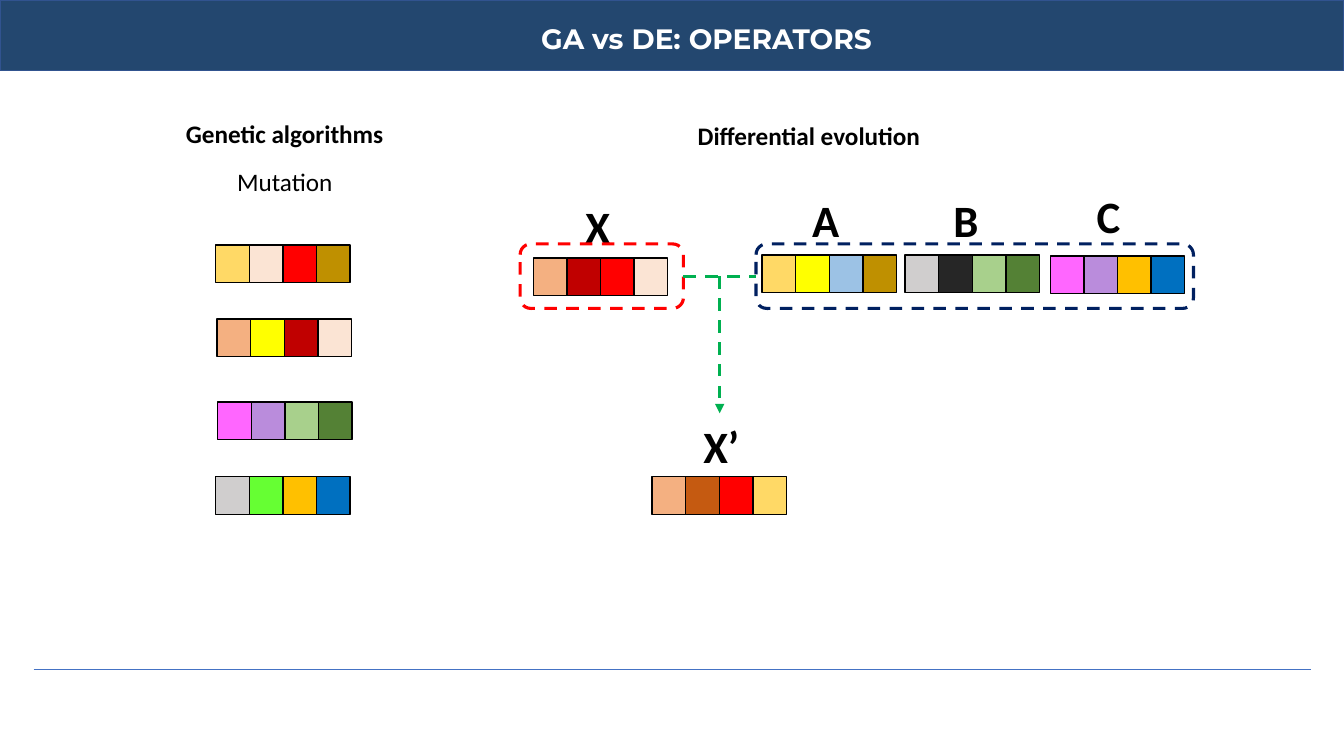
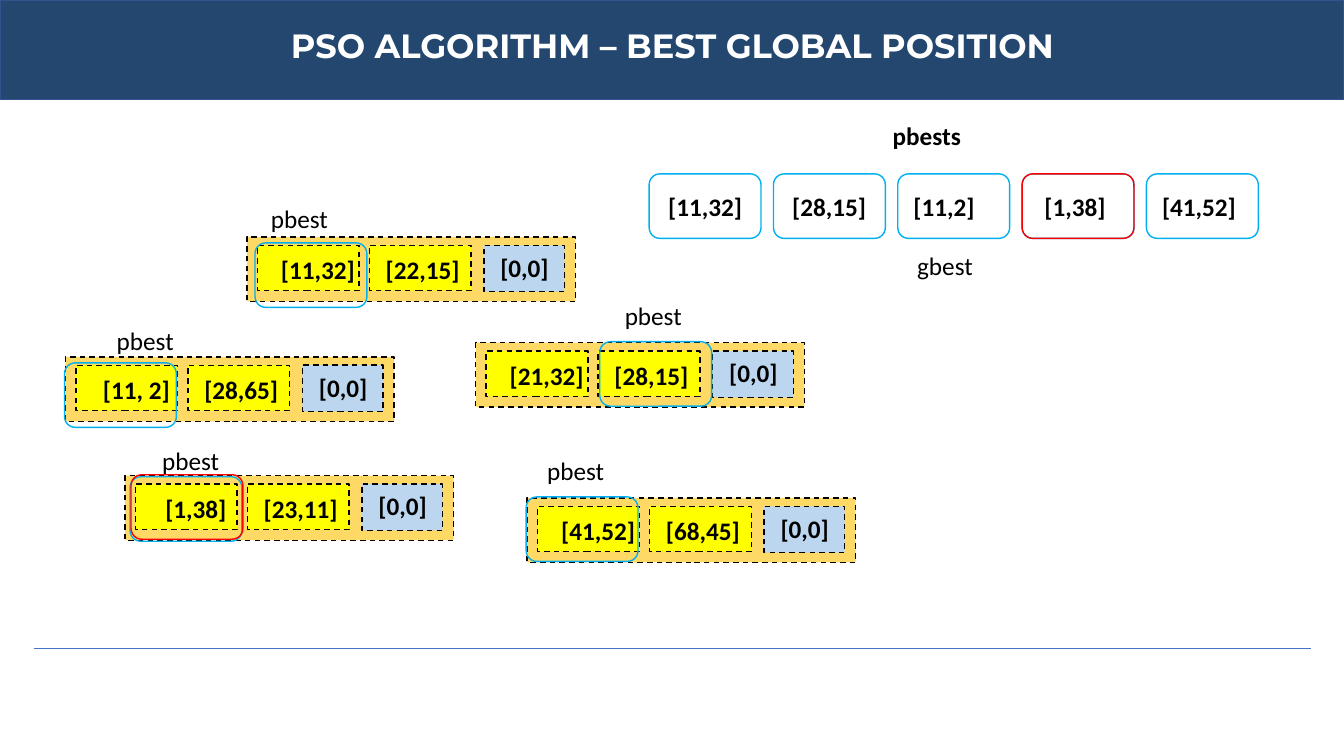
from dataclasses import dataclass

from lxml import etree
from pptx import Presentation
from pptx.dml.color import RGBColor
from pptx.enum.dml import MSO_LINE
from pptx.enum.shapes import MSO_CONNECTOR, MSO_SHAPE
from pptx.enum.text import PP_ALIGN
from pptx.oxml.ns import qn
from pptx.util import Inches, Pt

RECT, ROUNDED = MSO_SHAPE.RECTANGLE, MSO_SHAPE.ROUNDED_RECTANGLE
STRAIGHT = MSO_CONNECTOR.STRAIGHT
DASH = MSO_LINE.DASH
LEFT, CENTER = PP_ALIGN.LEFT, PP_ALIGN.CENTER
COLUMNS, ROWS = 80, 45
SLIDE_WIDTH, SLIDE_HEIGHT = Inches(13.333), Inches(7.5)


@dataclass(frozen=True)
class Theme:
    band: str = "23476F"
    band_edge: str = "31538F"
    rule: str = "4472C4"
    ink: str = "000000"
    white: str = "FFFFFF"
    target: str = "FF0000"
    donors: str = "002060"
    flow: str = "00B050"
    pbest: str = "00B0F0"
    particle: str = "FFD966"
    value: str = "FFFF00"
    velocity: str = "BBD6EE"
    title_font: str = "Montserrat"
    body_font: str = "Calibri"
    body_size: float = 18
    letter_size: float = 32
    thin: float = 0.75
    edge: float = 1
    thick: float = 2.25


THEME = Theme()

GENE_WIDTH, GENE_HEIGHT = 2, 2.24
LABEL_HEIGHT, FRAME_HEIGHT = 2.4, 3.84

OPERATORS = {
    "title": ("GA vs DE: OPERATORS", 20, (13.2, 0.96, 57.72, 2.64)),
    "band": 4.2,
    "rule": 39.84,
    "headings": [
        ("Genetic algorithms", 8.88, 6.72, 16.14, True),
        ("Differential evolution", 40.08, 6.84, 16.14, True),
        ("Mutation", 11.64, 9.6, 10.62, False),
    ],
    "chromosomes": [
        (12.84, 14.58, "FFD966 FBE4D4 FF0000 BF9000"),
        (12.92, 18.98, "F4B081 FFFF00 C00000 FBE4D4"),
        (12.96, 23.94, "FF66FF BA8CDC A8D08C 548135"),
        (12.84, 28.38, "D0CECE 66FF33 FFC000 0070C0"),
        (31.74, 15.36, "F4B081 C00000 FF0000 FBE4D4"),
        (45.36, 15.18, "FFD966 FFFF00 9CC2E5 BF9000"),
        (53.88, 15.18, "D0CECE 262626 A8D08C 548135"),
        (62.52, 15.24, "FF66FF BA8CDC FFC000 0070C0"),
        (38.82, 28.38, "F4B081 C55A11 FF0000 FFD966"),
    ],
    "letters": [
        ("X", 34.26, 11.52, 2.16),
        ("A", 47.76, 11.16, 2.16),
        ("B", 56.16, 11.16, 2.16),
        ("C", 64.68, 10.92, 2.16),
        ("X’", 41.28, 24.6, 3.48),
    ],
    "target": (30.96, 14.52, 9.72, FRAME_HEIGHT),
    "donors": (45, 14.52, 26.04, FRAME_HEIGHT),
    "trial_top": 24.6,
}

GLOBAL_BEST = {
    "title": ("PSO ALGORITHM – BEST GLOBAL POSITION", 24, (15.18, 1.2, 49.68, 3)),
    "band": 5.94,
    "rule": 38.58,
    "headings": [
        ("pbests", 50.64, 6.84, 9.06, True),
        ("gbest", 51.72, 14.58, 9.06, False),
    ],
    "pbests": [
        ("[11,32]", 39.12),
        ("[28,15]", 46.5),
        ("[11,2]", 53.34),
        ("[1,38]", 61.14),
        ("[41,52]", 68.52),
    ],
    "gbest": "[1,38]",
    "particles": [
        {"at": (14.7, 14.1), "values": ("[11,32]", "[22,15]", "[0,0]"),
         "label": (15.54, 11.82), "best": (15.18, 14.46)},
        {"at": (28.32, 20.4), "values": ("[21,32]", "[28,15]", "[0,0]"),
         "label": (36.6, 17.58), "best": (35.7, 20.34)},
        {"at": (3.9, 21.24), "values": ("[11, 2]", "[28,65]", "[0,0]"),
         "label": (6.36, 19.08), "best": (3.84, 21.6)},
        {"at": (31.38, 29.64), "values": ("[41,52]", "[68,45]", "[0,0]"),
         "label": (31.98, 26.82), "best": (31.32, 29.58)},
        {"at": (7.44, 28.32), "values": ("[1,38]", "[23,11]", "[0,0]"),
         "label": (9.06, 26.22), "best": (7.74, 28.38)},
    ],
    "gbest_mark": (7.8, 28.26),
}

PARTICLE_WIDTH = 19.56
PARTICLE_CELLS = [
    (0.62, 6.06, 2.7, THEME.value, 1.28, 0.73, 5.88),
    (7.28, 6.06, 2.7, THEME.value, 7.28, 0.73, 6.36),
    (14.1, 4.8, 2.76, THEME.velocity, 14.15, 0.6, 4.74),
]
PBEST_LEFT, PBEST_TOP, PBEST_STEP, PBEST_WIDTH = 38.64, 10.35, 7.4, 6.66


def grid_x(columns):
    return round(SLIDE_WIDTH * columns / COLUMNS)


def grid_y(rows):
    return round(SLIDE_HEIGHT * rows / ROWS)


def grid_box(x, y, width, height):
    return grid_x(x), grid_y(y), grid_x(width), grid_y(height)


def style_line(line, color, weight, dash=None):
    line.color.rgb = RGBColor.from_string(color)
    line.width = Pt(weight)
    if dash:
        line.dash_style = dash


def add_box(shapes, box, fill=None, edge=THEME.ink, weight=THEME.edge, dash=None, kind=RECT):
    shape = shapes.add_shape(kind, *grid_box(*box))
    shape.shadow.inherit = False
    if fill:
        shape.fill.solid()
        shape.fill.fore_color.rgb = RGBColor.from_string(fill)
    else:
        shape.fill.background()
    style_line(shape.line, edge, weight, dash)
    return shape


def add_label(shapes, text, box, size=THEME.body_size, bold=True, align=CENTER,
              color=THEME.ink, font=THEME.body_font):
    frame = shapes.add_textbox(*grid_box(*box)).text_frame
    frame.word_wrap = True
    paragraph = frame.paragraphs[0]
    paragraph.alignment = align
    run = paragraph.add_run()
    run.text = text
    run.font.name = font
    run.font.size = Pt(size)
    run.font.bold = bold
    run.font.color.rgb = RGBColor.from_string(color)


def add_line(shapes, start, end, color, weight, dash=None, arrow=False):
    line = shapes.add_connector(STRAIGHT, grid_x(start[0]), grid_y(start[1]),
                                grid_x(end[0]), grid_y(end[1]))
    style_line(line.line, color, weight, dash)
    if arrow:
        etree.SubElement(line.line._get_or_add_ln(), qn("a:tailEnd"), type="triangle")
    etree.SubElement(line._element.spPr, qn("a:effectLst"))
    return line


def start_slide(deck, content):
    shapes = deck.slides.add_slide(deck.slide_layouts[6]).shapes
    add_box(shapes, (0, 0, COLUMNS, content["band"]), THEME.band, THEME.band_edge)
    title, size, box = content["title"]
    add_label(shapes, title, box, size, color=THEME.white, font=THEME.title_font)
    rule = content["rule"]
    add_line(shapes, (2, rule), (78.06, rule), THEME.rule, THEME.thin)
    for text, x, y, width, bold in content["headings"]:
        add_label(shapes, text, (x, y, width, LABEL_HEIGHT), bold=bold)
    return shapes


def build_operators(deck):
    content = OPERATORS
    shapes = start_slide(deck, content)
    for x, y, genes in content["chromosomes"]:
        chromosome = shapes.add_group_shape().shapes
        for position, color in enumerate(genes.split()):
            add_box(chromosome, (x + position * GENE_WIDTH, y, GENE_WIDTH, GENE_HEIGHT), color)
    for letter, x, y, width in content["letters"]:
        add_label(shapes, letter, (x, y, width, FRAME_HEIGHT), THEME.letter_size, align=LEFT)

    target, donors = (
        add_box(shapes, content[role], edge=color, weight=THEME.thick, dash=DASH, kind=ROUNDED)
        for role, color in (("target", THEME.target), ("donors", THEME.donors))
    )
    left, top, width, height = content["target"]
    target_right, middle = left + width, top + height / 2
    donors_left = content["donors"][0]
    center = (target_right + donors_left) / 2
    bridge = add_line(shapes, (target_right, middle), (donors_left, middle),
                      THEME.flow, THEME.thick, DASH)
    bridge.begin_connect(target, 3)
    bridge.end_connect(donors, 1)
    add_line(shapes, (center, middle), (center, content["trial_top"]),
             THEME.flow, THEME.thick, DASH, arrow=True)


def add_best_frame(shapes, x, y, color=THEME.pbest):
    add_box(shapes, (x, y, PBEST_WIDTH, FRAME_HEIGHT), edge=color, kind=ROUNDED)


def add_particle(shapes, particle):
    x, y = particle["at"]
    group = shapes.add_group_shape().shapes
    add_box(group, (x, y, PARTICLE_WIDTH, FRAME_HEIGHT), THEME.particle, dash=DASH)
    for value, cell in zip(particle["values"], PARTICLE_CELLS):
        offset, width, height, color, text_x, text_y, text_width = cell
        add_box(group, (x + offset, y + 0.5, width, height), color, dash=DASH)
        add_label(group, value, (x + text_x, y + text_y, text_width, LABEL_HEIGHT))
    add_label(shapes, "pbest", (*particle["label"], 4.8, LABEL_HEIGHT), bold=False, align=LEFT)
    add_best_frame(shapes, *particle["best"])


def build_global_best(deck):
    content = GLOBAL_BEST
    shapes = start_slide(deck, content)
    for position, (value, text_x) in enumerate(content["pbests"]):
        x = PBEST_LEFT + position * PBEST_STEP
        add_best_frame(shapes, x, PBEST_TOP)
        if value == content["gbest"]:
            add_best_frame(shapes, x, PBEST_TOP, THEME.target)
        add_label(shapes, value, (text_x, 11.1, 5.7, LABEL_HEIGHT))
    for particle in content["particles"]:
        add_particle(shapes, particle)
    add_best_frame(shapes, *content["gbest_mark"], THEME.target)


def main():
    deck = Presentation()
    deck.slide_width, deck.slide_height = SLIDE_WIDTH, SLIDE_HEIGHT
    build_operators(deck)
    build_global_best(deck)
    deck.save("out.pptx")


if __name__ == "__main__":
    main()
